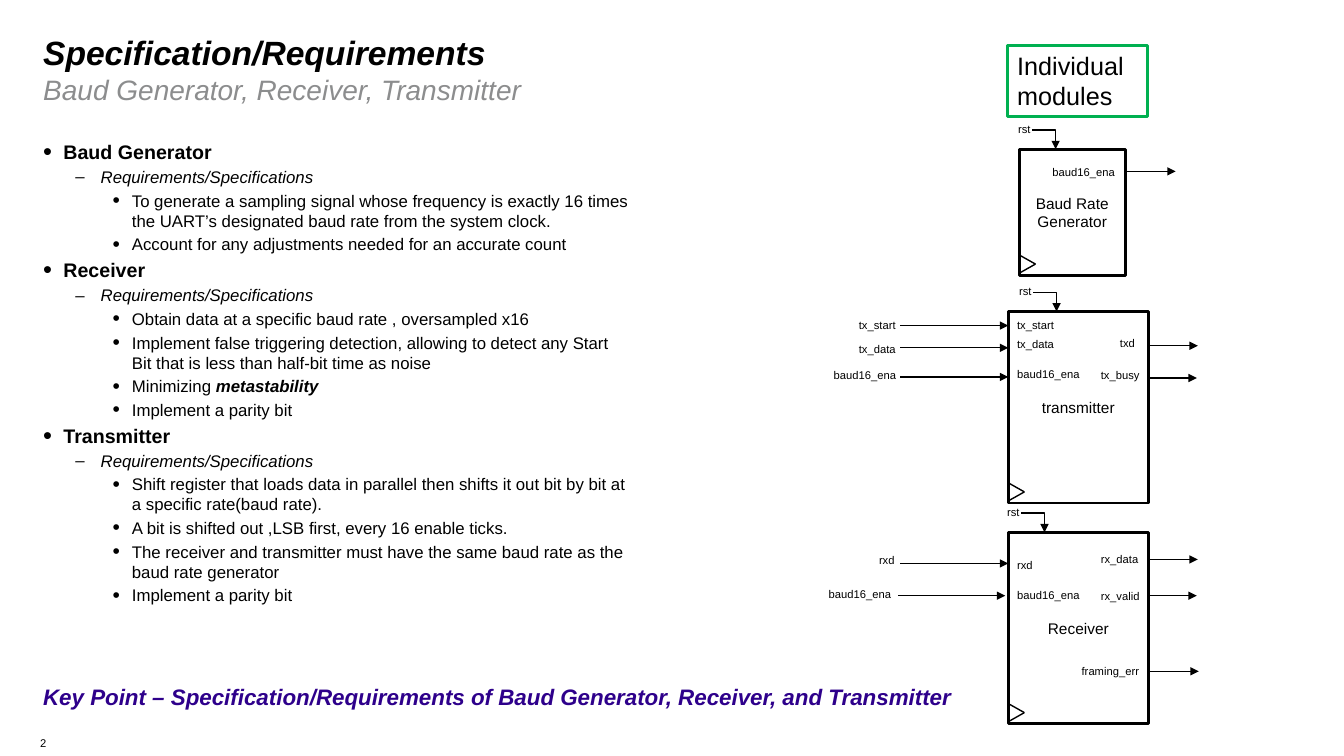
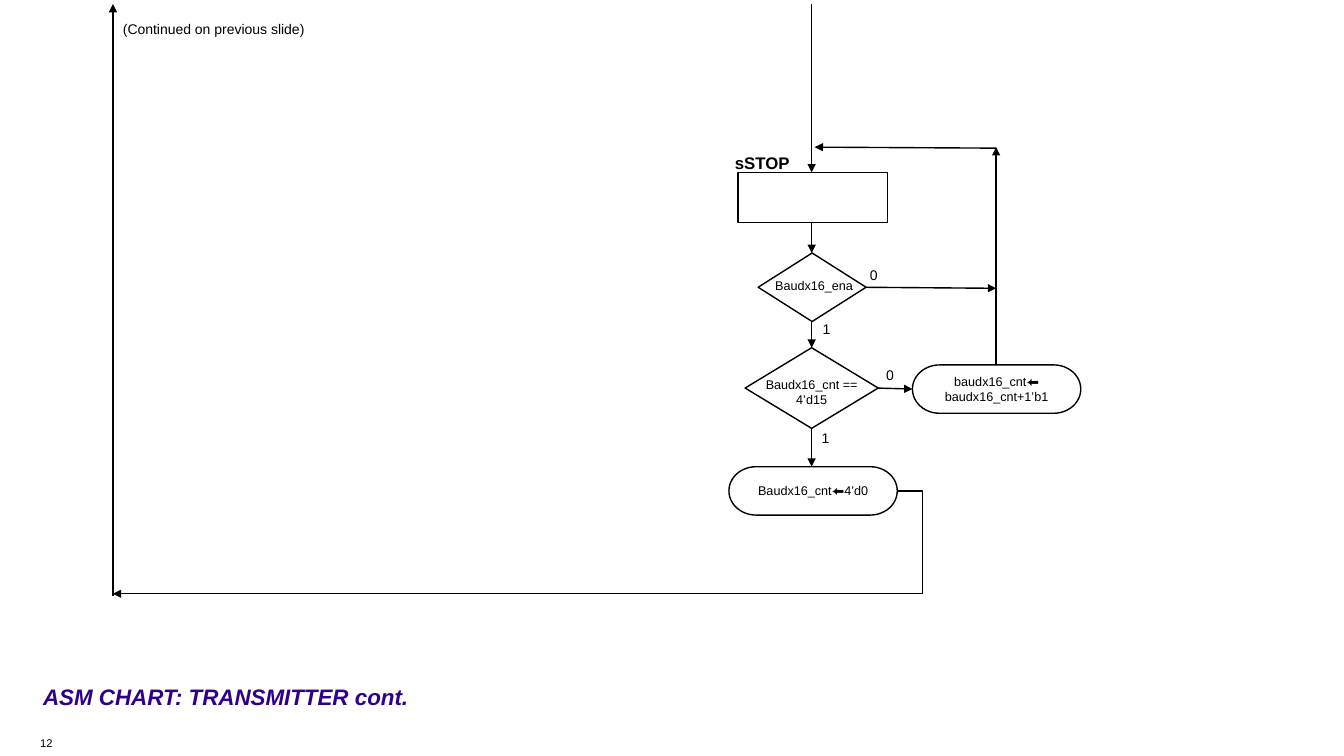
import pptx
import pptx.dml.color
import pptx.enum.shapes
import pptx.enum.text
import pptx.oxml.ns
import pptx.util
from lxml import etree

Inches, Pt = pptx.util.Inches, pptx.util.Pt
SHAPES = pptx.enum.shapes.MSO_SHAPE
CONNECTORS = pptx.enum.shapes.MSO_CONNECTOR
ALIGN = pptx.enum.text.PP_ALIGN
ANCHOR = pptx.enum.text.MSO_ANCHOR
qn = pptx.oxml.ns.qn

COLORS = {"ink": "000000", "paper": "FFFFFF", "subtitle": "8C8D8E",
          "key": "2E008B", "frame": "00B050"}
FONT = "Arial"

# indent, hanging, bullet, bullet size, text format
LEVELS = [
    (0.2, 0.2, "•", 130, {"size": 14, "bold": True}),
    (0.57, 0.25, "–", 100, {"size": 12, "italic": True}),
    (0.88, 0.19, "•", 125, {"size": 12}),
]

REQUIREMENTS = {
    "Baud Generator": [
        "To generate a sampling signal whose frequency is exactly 16 times the UART’s "
        "designated baud rate from the system clock.",
        "Account for any adjustments needed for an accurate count",
    ],
    "Receiver": [
        "Obtain data at a specific baud rate , oversampled x16",
        "Implement false triggering detection, allowing to detect any Start Bit "
        "that is less than half-bit time as noise",
        ("Minimizing ", "metastability"),
        "Implement a parity bit",
    ],
    "Transmitter": [
        "Shift register that loads data in parallel then shifts it out bit by bit "
        "at a specific rate(baud rate).",
        "A bit is shifted out ,LSB first, every 16 enable ticks.",
        "The receiver and transmitter must have the same baud rate as the baud rate generator",
        "Implement a parity bit",
    ],
}

# name, box, left of the reset label
MODULES = [
    ("Baud Rate Generator", (10.11, 1.48, 1.05, 1.25), 10),
    ("transmitter", (10, 3.09, 1.39, 1.9), 10.01),
    ("Receiver", (10, 5.28, 1.39, 1.9), 9.89),
]
# name, outer label left and top, inner label top, arrow start, arrow end, arrow height
INPUTS = [
    ("tx_start", 8.42, 3.11, 3.11, 8.93, 10, 3.23),
    ("tx_data", 8.42, 3.35, 3.3, 8.93, 10, 3.45),
    ("baud16_ena", 8.17, 3.61, 3.6, 8.93, 10, 3.74),
    ("rxd", 8.62, 5.44, 5.49, 8.93, 10, 5.59),
    ("baud16_ena", 8.12, 5.78, 5.79, 8.91, 9.97, 5.91),
]
# name, label left and top, arrow start and height
OUTPUTS = [
    ("baud16_ena", 10.34, 1.59, 11.18, 1.7),
    ("txd", 11.01, 3.29, 11.4, 3.43),
    ("tx_busy", 10.82, 3.61, 11.39, 3.75),
    ("rx_data", 10.82, 5.43, 11.4, 5.55),
    ("rx_valid", 10.82, 5.8, 11.39, 5.91),
    ("framing_err", 10.63, 6.54, 11.41, 6.66),
]


def rgb(name):
    return pptx.dml.color.RGBColor.from_string(COLORS[name])


def add_run(paragraph, text, size=8, color="ink", bold=False, italic=False):
    run = paragraph.add_run()
    run.text = text
    font = run.font
    font.name, font.size, font.bold, font.italic = FONT, Pt(size), bold, italic
    font.color.rgb = rgb(color)


def write(frame, text, align=ALIGN.LEFT, anchor=ANCHOR.TOP, wrap=True, **style):
    """Fill a text frame, one paragraph per line of text."""
    frame.word_wrap = wrap
    frame.vertical_anchor = anchor
    for index, line in enumerate(text.split("\n")):
        paragraph = frame.add_paragraph() if index else frame.paragraphs[0]
        paragraph.alignment = align
        add_run(paragraph, line, **style)


class Deck:
    def __init__(self):
        self.presentation = pptx.Presentation()
        self.presentation.slide_width = Inches(13.33)
        self.presentation.slide_height = Inches(7.5)
        self.slide = None

    def new_slide(self, number, key_point):
        self.slide = self.presentation.slides.add_slide(self.presentation.slide_layouts[6])
        self.text(number, 0.3, 7.26)
        self.text(key_point, 0.33, 6.73, 12.36, 0.49,
                  size=16, color="key", bold=True, italic=True)

    def text(self, text, left, top, width=1, height=0.24, **style):
        box = self.slide.shapes.add_textbox(*map(Inches, (left, top, width, height)))
        write(box.text_frame, text, **style)

    def box(self, kind, bounds, text="", line_color="ink", line_width=1,
            align=ALIGN.CENTER, anchor=ANCHOR.MIDDLE, **style):
        shape = self.slide.shapes.add_shape(kind, *map(Inches, bounds))
        shape.shadow.inherit = False
        shape.fill.solid()
        shape.fill.fore_color.rgb = rgb("paper")
        shape.line.color.rgb = rgb(line_color)
        shape.line.width = Pt(line_width)
        if text:
            write(shape.text_frame, text, align=align, anchor=anchor, **style)

    def line(self, start, end, arrow=True, preset="line", bend=None):
        """Draw a line; bend places the middle leg of a three-part elbow."""
        kind = CONNECTORS.STRAIGHT if preset == "line" else CONNECTORS.ELBOW
        connector = self.slide.shapes.add_connector(kind, *map(Inches, (*start, *end)))
        connector.line.color.rgb = rgb("ink")
        connector.line.width = Pt(1)
        properties = connector._element.spPr
        geometry = properties.find(qn("a:prstGeom"))
        geometry.set("prst", preset)
        if bend is not None:
            etree.SubElement(geometry.find(qn("a:avLst")), qn("a:gd"),
                             name="adj1", fmla=f"val {round(bend * 100000)}")
        if arrow:
            etree.SubElement(properties.find(qn("a:ln")), qn("a:tailEnd"), type="triangle")
        etree.SubElement(properties, qn("a:effectLst"))

    def bullets(self, items, left, top, width, height):
        """Write (level, text) items; the second part of a pair is emphasised."""
        box = self.slide.shapes.add_textbox(*map(Inches, (left, top, width, height)))
        frame = box.text_frame
        frame.word_wrap = True
        for index, (level, text) in enumerate(items):
            indent, hanging, bullet, bullet_size, style = LEVELS[level]
            paragraph = frame.add_paragraph() if index else frame.paragraphs[0]
            if index:
                paragraph.space_before = Pt(0.2 * style["size"])
            properties = paragraph._p.get_or_add_pPr()
            properties.set("marL", str(Inches(indent)))
            properties.set("indent", str(-Inches(hanging)))
            etree.SubElement(properties, qn("a:buSzPct"), val=str(bullet_size * 1000))
            etree.SubElement(properties, qn("a:buFont"), typeface=FONT)
            etree.SubElement(properties, qn("a:buChar"), char=bullet)
            plain, emphasis = (text, "") if isinstance(text, str) else text
            add_run(paragraph, plain, **style)
            if emphasis:
                add_run(paragraph, emphasis, size=style["size"], bold=True, italic=True)

    def module(self, name, bounds, reset_left):
        """Draw a hardware block with its reset input and clock mark."""
        left, top, width, height = bounds
        bottom = top + height
        self.box(SHAPES.RECTANGLE, bounds, name, line_width=2, size=11)
        self.text("rst", reset_left, top - 0.32, 0.4)
        self.line((reset_left + 0.24, top - 0.19), (reset_left + 0.47, top),
                  preset="bentConnector2")
        tip = (left + 0.16, bottom - 0.11)
        self.line((left, bottom - 0.2), tip, arrow=False)
        self.line(tip, (left, bottom - 0.02), arrow=False)


def build_requirements(deck):
    deck.new_slide("2", "Key Point – Specification/Requirements of Baud Generator, "
                        "Receiver, and Transmitter")
    deck.text("Specification/Requirements", 0.33, 0.27, 11.53, 0.64,
              size=24, bold=True, italic=True)
    deck.text("Baud Generator, Receiver, Transmitter", 0.33, 0.67, 11.53, 0.57,
              size=20, color="subtitle", italic=True)
    items = []
    for heading, points in REQUIREMENTS.items():
        items += [(0, heading), (1, "Requirements/Specifications")]
        items += [(2, point) for point in points]
    deck.bullets(items, 0.33, 1.34, 6.02, 4.82)

    deck.box(SHAPES.RECTANGLE, (9.99, 0.45, 1.39, 0.71), "Individual modules",
             line_color="frame", line_width=2.25, align=ALIGN.LEFT,
             anchor=ANCHOR.TOP, size=18)
    for module in MODULES:
        deck.module(*module)
    for name, left, outer_top, inner_top, start, end, height in INPUTS:
        deck.text(name, left, outer_top)
        deck.text(name, 9.99, inner_top)
        deck.line((start, height), (end, height))
    for name, left, top, start, height in OUTPUTS:
        deck.text(name, left, top)
        deck.line((start, height), (start + 0.48, height))


def build_transmitter_chart(deck):
    deck.new_slide("12", "ASM CHART: TRANSMITTER cont.")
    main, loop, margin = 8.05, 9.88, 1.12
    deck.box(SHAPES.RECTANGLE, (7.32, 1.71, 1.48, 0.5))
    deck.text("sSTOP", 7.19, 1.47, 0.75, 0.3, size=12, bold=True, wrap=False)
    deck.box(SHAPES.DIAMOND, (7.52, 2.51, 1.07, 0.68))
    deck.text("Baudx16_ena", 7.59, 2.71, 0.98, 0.4, size=9, wrap=False)
    deck.box(SHAPES.DIAMOND, (7.39, 3.45, 1.32, 0.8))
    deck.text("Baudx16_cnt ==\n4’d15", 7.49, 3.69, 1.12, 0.4,
              size=9, align=ALIGN.CENTER, wrap=False)
    for left, top, text in [(9.05, 3.62, "baudx16_cnt⬅ baudx16_cnt+1’b1"),
                            (7.23, 4.63, "Baudx16_cnt⬅4’d0")]:
        deck.box(SHAPES.FLOWCHART_TERMINATOR, (left, top, 1.67, 0.48), text, size=9)

    for start, end in [(0.04, 1.71), (2.21, 2.51), (3.19, 3.45), (4.25, 4.63)]:
        deck.line((main, start), (main, end))
    deck.line((8.59, 2.85), (loop, 2.86))
    deck.line((8.71, 3.85), (9.05, 3.86))
    deck.line((loop, 3.62), (loop, 1.46))
    deck.line((loop, 1.47), (8.08, 1.46))
    deck.line((8.9, 4.87), (margin, 5.89), preset="bentConnector3", bend=-0.032)
    deck.line((margin, 5.91), (margin, 0.04))

    for text, left, top in [("0", 8.53, 2.59), ("1", 8.06, 3.13),
                            ("0", 8.69, 3.59), ("1", 8.05, 4.21)]:
        deck.text(text, left, top, 0.28, 0.27, size=10, wrap=False)
    deck.text("(Continued on previous slide)", margin, 0.15, 2.25, 0.27, size=10)


def main():
    deck = Deck()
    build_requirements(deck)
    build_transmitter_chart(deck)
    deck.presentation.save("out.pptx")


if __name__ == "__main__":
    main()
